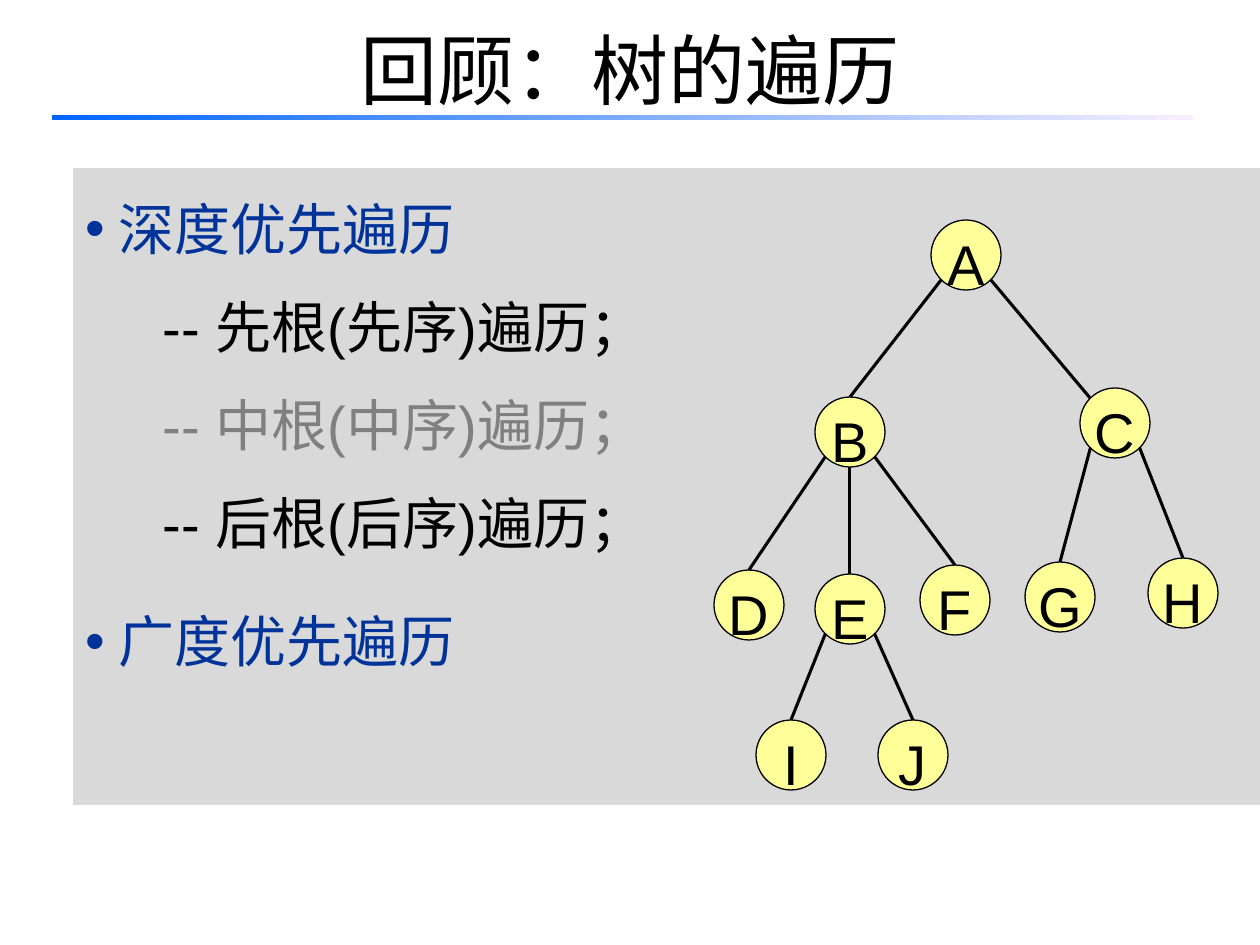
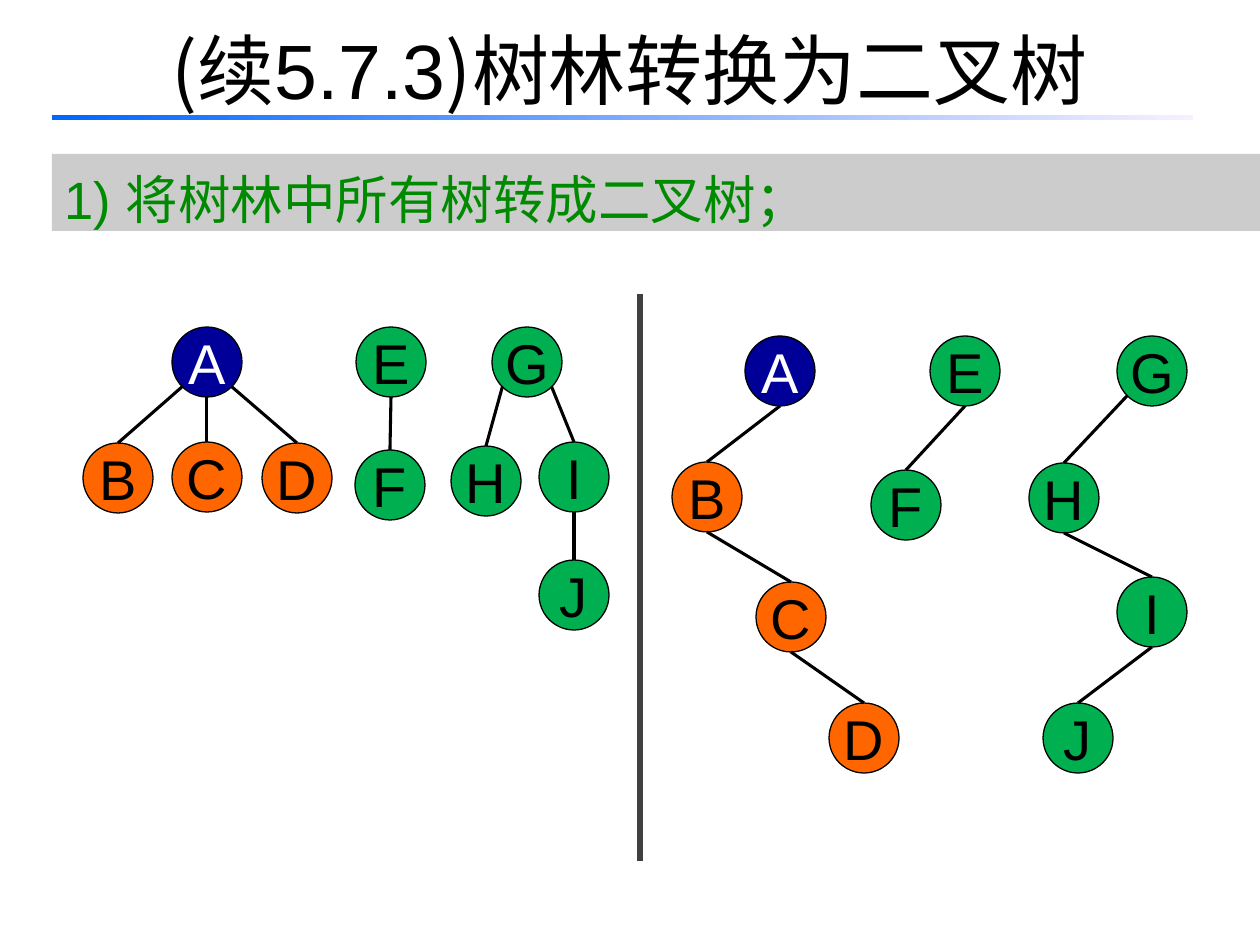
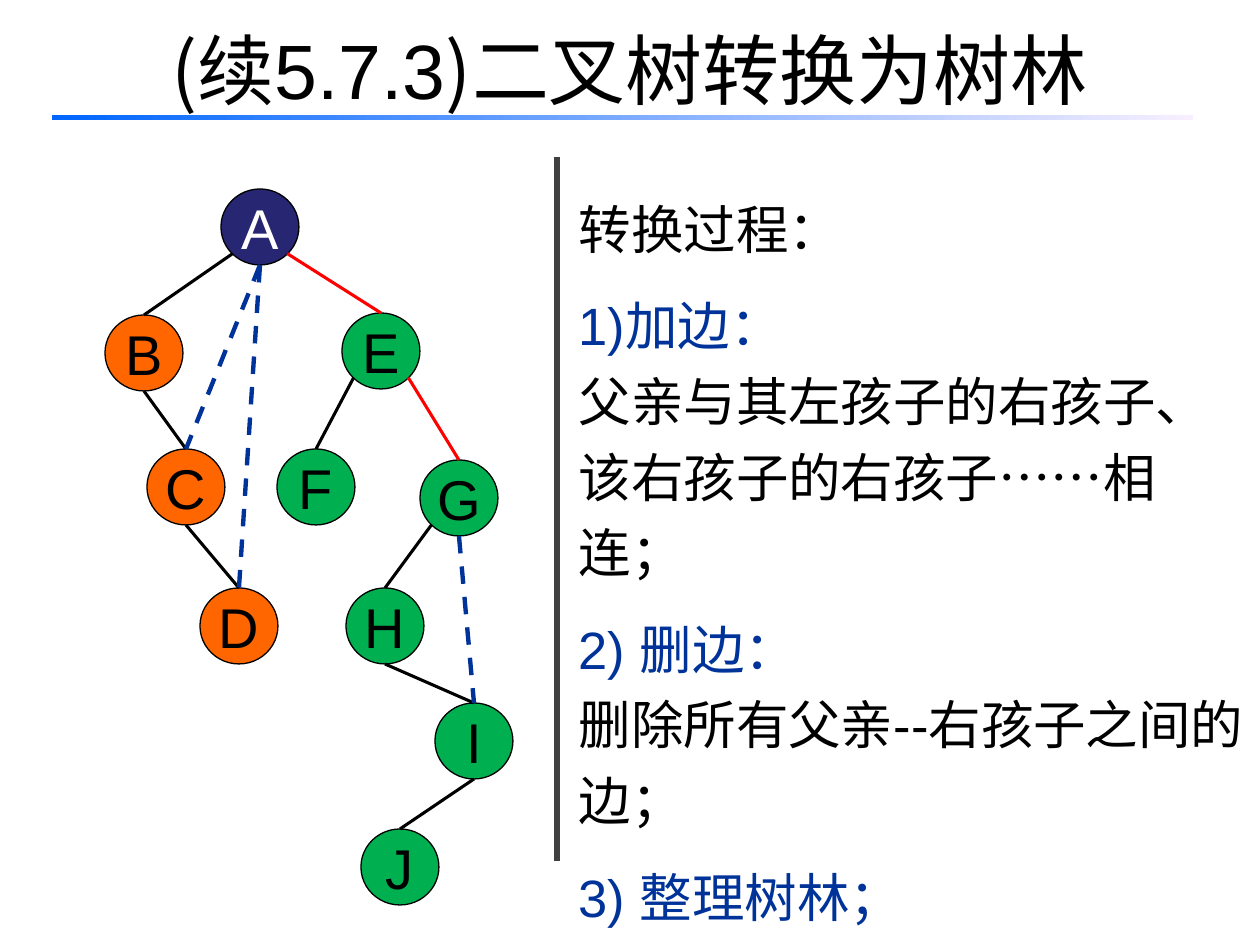
from lxml.etree import SubElement
from pptx import Presentation
from pptx.dml.color import RGBColor
from pptx.enum.dml import MSO_LINE
from pptx.enum.shapes import MSO_CONNECTOR, MSO_SHAPE
from pptx.enum.text import MSO_ANCHOR, MSO_AUTO_SIZE, PP_ALIGN
from pptx.oxml.ns import qn
from pptx.util import Emu, Pt

PX = 914400 / 126
CJK, LATIN = "Noto Sans CJK SC", "Arial"
BLACK, WHITE, GREY, BLUE, RED = "000000", "FFFFFF", "808080", "003399", "FF0000"
YELLOW, ORANGE, GREEN, NAVY, INDIGO = "FFFF99", "FF6600", "00B050", "000099", "262673"
hex_color = RGBColor.from_string


def px(*lengths):
    return [Emu(round(length * PX)) for length in lengths]


def write(frame, text, size=32, color=BLACK, font=LATIN, align=PP_ALIGN.LEFT,
          spacing=1.0, before=0, bullet=None, margin=0, indent=0):
    """Fill the next paragraph; text is a string or a list of (string, font) runs."""
    paragraph = frame.paragraphs[0]
    if paragraph.runs:
        paragraph = frame.add_paragraph()
    paragraph.alignment = align
    paragraph.line_spacing = spacing
    paragraph.space_before = Pt(before)
    properties = paragraph._p.get_or_add_pPr()
    left, first = px(margin, indent)
    properties.set("marL", str(left))
    properties.set("indent", str(first))
    properties.set("hangingPunct", "0")
    if bullet:
        SubElement(properties, qn("a:buChar")).set("char", bullet)
    else:
        SubElement(properties, qn("a:buNone"))
    for words, face in [(text, font)] if isinstance(text, str) else text:
        run = paragraph.add_run()
        run.text = words
        run.font.size = Pt(size)
        run.font.name = face
        run.font.color.rgb = hex_color(color)
        SubElement(run._r.get_or_add_rPr(), qn("a:ea")).set("typeface", CJK)


topic = dict(color=BLUE, bullet="•", margin=33, indent=-33)
order = dict(margin=77, before=6)
step = dict(color=BLUE, before=12)

# title, body box, body fill, shared body format, body paragraphs
pages = [
    ("回顾：树的遍历", (73, 168, 1187, 637), "D9D9D9", dict(spacing=1.3), [
        ("深度优先遍历", topic),
        ("-- 先根(先序)遍历；", order),
        ("-- 中根(中序)遍历；", order | dict(color=GREY)),
        ("-- 后根(后序)遍历；", order),
        ("广度优先遍历", topic | dict(before=18)),
    ]),
    ([("(续", CJK), ("5.7.3", LATIN), (")树林转换为二叉树", CJK)],
     (52, 154, 1208, 77), "CCCCCC", dict(size=30, spacing=1.1), [
        ("1) 将树林中所有树转成二叉树；", dict(color="008A00")),
    ]),
    ([("(续", CJK), ("5.7.3", LATIN), (")二叉树转换为树林", CJK)],
     (557, 178, 703, 687), None, dict(size=30, spacing=1.2, margin=9), [
        ("转换过程：", {}),
        ("1)加边：", step),
        ("父亲与其左孩子的右孩子、该右孩子的右孩子……相连；", {}),
        ("2) 删边：", step),
        ("删除所有父亲--右孩子之间的边；", {}),
        ("3) 整理树林；", step),
    ]),
]

prs = Presentation()
prs.slide_width, prs.slide_height = px(1260, 945)
slides = []
for heading, box, fill, shared, paragraphs in pages:
    slide = prs.slides.add_slide(prs.slide_layouts[1])
    slides.append(slide)
    title, body = slide.placeholders
    title.left, title.top, title.width, title.height = px(63, -10, 1134, 157)
    title.text_frame.auto_size = MSO_AUTO_SIZE.NONE
    write(title.text_frame, heading, size=44, font=CJK, align=PP_ALIGN.CENTER)

    body.left, body.top, body.width, body.height = px(*box)
    if fill:
        body.fill.solid()
        body.fill.fore_color.rgb = hex_color(fill)
    body.text_frame.auto_size = MSO_AUTO_SIZE.NONE
    for text, own in paragraphs:
        write(body.text_frame, text, **(shared | own))

    rule = slide.shapes.add_shape(MSO_SHAPE.RECTANGLE, *px(52, 115, 1141, 5))
    rule.shadow.inherit = False
    rule.line.fill.background()
    rule.fill.gradient()
    rule.fill.gradient_angle = 0
    for stop, shade in zip(rule.fill.gradient_stops, ("0066FF", "F7EFFF")):
        stop.color.rgb = hex_color(shade)

# Edges name parent, route and child. A route leaves at the lower left (<),
# bottom (|) or lower right (> and ~) and enters at the top, or upper left for ~.
solid = (BLACK, 1.75, None)
removed = (RED, 1.75, None)
added = (BLUE, 2.5, MSO_LINE.DASH)
trees = [
    (slides[0], (70, 70), 1.25, {"ABCDEFGHIJ": YELLOW},
     dict(A=(931, 220), B=(815, 397), C=(1080, 388), D=(714, 570), E=(815, 574),
          F=(920, 565), G=(1025, 562), H=(1148, 558), I=(756, 720), J=(878, 720)),
     {solid: "A<B A~C B<D B|E B>F C<G C>H E<I E>J"}),
    (slides[1], (70, 70), 1.0, {"A": NAVY, "BCD": ORANGE, "EFGHIJ": GREEN},
     dict(A=(172, 327), B=(83, 443), C=(172, 442), D=(262, 443), E=(356, 327),
          F=(355, 450), G=(492, 327), H=(451, 446), I=(539, 442), J=(539, 560)),
     {solid: "A<B A|C A>D E|F G<H G>I I|J"}),
    (slides[1], (70, 70), 1.0, {"A": NAVY, "BCD": ORANGE, "EFGHIJ": GREEN},
     dict(A=(745, 336), B=(672, 462), C=(756, 582), D=(829, 703), E=(930, 336),
          F=(871, 470), G=(1117, 336), H=(1029, 463), I=(1117, 577), J=(1043, 703)),
     {solid: "A|B B|C C|D E|F G<H H|I I|J"}),
    (slides[2], (78, 76), 1.0, {"A": INDIGO, "BCD": ORANGE, "EFGHIJ": GREEN},
     dict(A=(221, 189), B=(105, 315), C=(147, 449), D=(200, 588), E=(342, 313),
          F=(277, 449), G=(420, 460), H=(346, 588), I=(435, 703), J=(361, 829)),
     {solid: "A<B B|C C|D E<F G<H H|I I|J", removed: "A>E E>G", added: "A|C A|D G|I"}),
]
# fractions of a node's width and height: exit from parent, entry to child
routes = {"<": (0.15, 0.85, 0.5, 0), "|": (0.5, 1, 0.5, 0),
          ">": (0.85, 0.85, 0.5, 0), "~": (0.85, 0.85, 0.15, 0.15)}

divider = ("404040", 3, None)
lines = [(slides[1], (640, 294, 640, 861), divider),
         (slides[2], (557, 157, 557, 861), divider)]
for slide, (width, height), spacing, fills, places, edge_groups in trees:
    for letters, fill in fills.items():
        for letter in letters:
            node = slide.shapes.add_shape(
                MSO_SHAPE.OVAL, *px(*places[letter], width, height))
            node.shadow.inherit = False
            node.fill.solid()
            node.fill.fore_color.rgb = hex_color(fill)
            node.line.color.rgb = hex_color(BLACK)
            node.line.width = Pt(0.75)
            frame = node.text_frame
            frame.word_wrap = False
            frame.vertical_anchor = MSO_ANCHOR.MIDDLE
            write(frame, letter, color=WHITE if fill in (NAVY, INDIGO) else BLACK,
                  align=PP_ALIGN.CENTER, spacing=spacing)
    for style, edges in edge_groups.items():
        for parent, route, child in edges.split():
            exit_x, exit_y, entry_x, entry_y = routes[route]
            x, y = places[parent]
            child_x, child_y = places[child]
            ends = (x + exit_x * width, y + exit_y * height,
                    child_x + entry_x * width, child_y + entry_y * height)
            lines.append((slide, ends, style))

for slide, ends, (color, weight, dash) in lines:
    connector = slide.shapes.add_connector(MSO_CONNECTOR.STRAIGHT, *px(*ends))
    connector.line.color.rgb = hex_color(color)
    connector.line.width = Pt(weight)
    if dash:
        connector.line.dash_style = dash
    SubElement(connector._element.spPr, qn("a:effectLst"))

prs.save("out.pptx")
